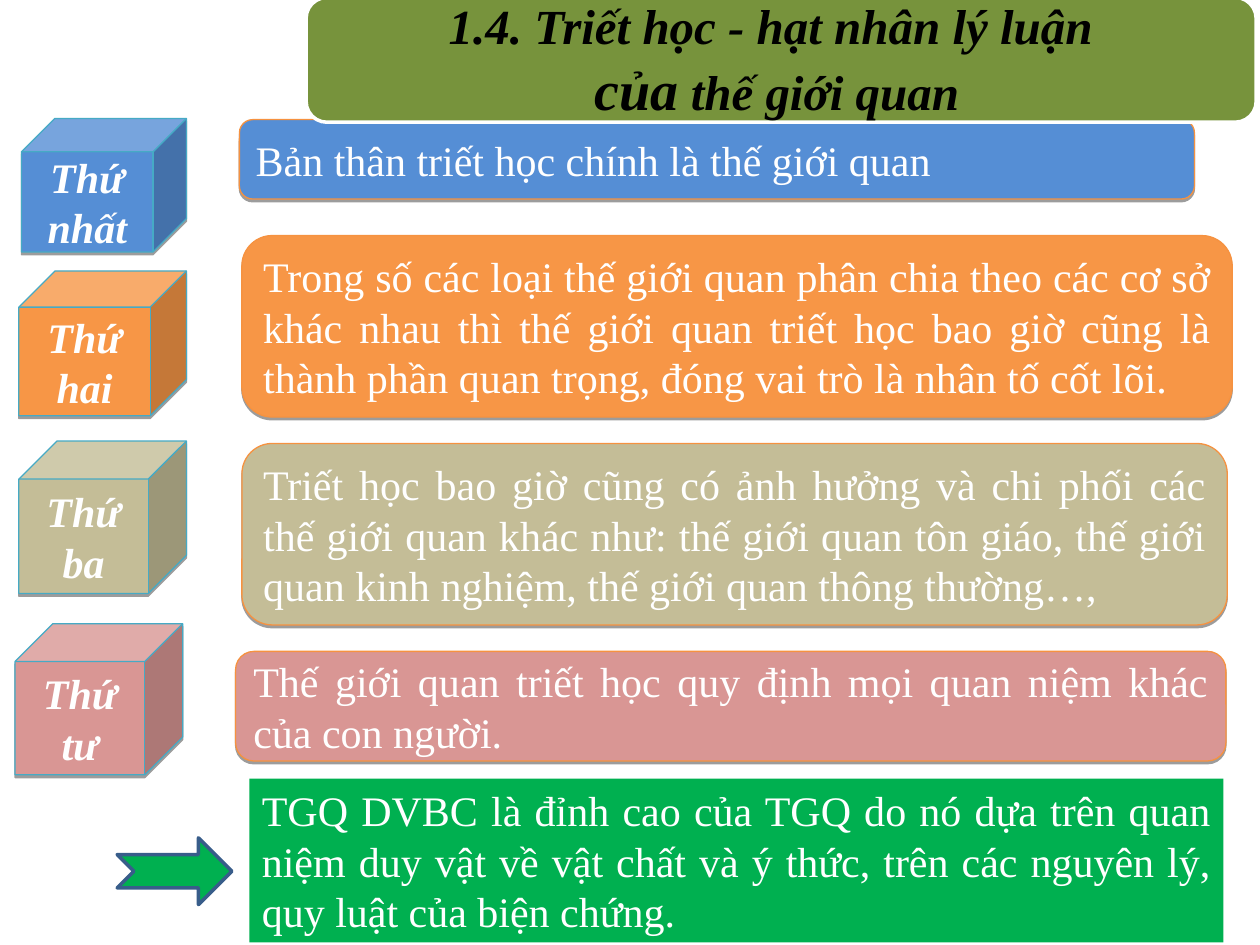
from lxml import etree
from pptx import Presentation
from pptx import util as u
from pptx.dml.color import RGBColor
from pptx.enum import shapes, text
from pptx.oxml.ns import qn

FONT = "Times New Roman"
WHITE = RGBColor(0xFF, 0xFF, 0xFF)
BLACK = RGBColor(0, 0, 0)
BLUE = RGBColor(0x55, 0x8E, 0xD5)
ORANGE = RGBColor(0xF7, 0x96, 0x46)
TAN = RGBColor(0xC4, 0xBD, 0x97)
PINK = RGBColor(0xD9, 0x96, 0x94)
GREEN = RGBColor(0x00, 0xB0, 0x50)
OLIVE = RGBColor(0x77, 0x93, 0x3C)
PANEL_LINE = RGBColor(0xF6, 0x92, 0x40)
CUBE_LINE = RGBColor(0x46, 0xAA, 0xC5)
ARROW_LINE = RGBColor(0x38, 0x5D, 0x8A)

# Label, cube box, statement, panel box, colour
REASONS = [
    ("Thứ nhất", (0.17, 0.94, 1.31, 1.06),
     "Bản thân triết học chính là thế giới quan",
     (1.9, 0.95, 7.58, 0.63), BLUE),
    ("Thứ hai", (0.15, 2.15, 1.33, 1.15),
     "Trong số các loại thế giới quan phân chia theo các cơ sở khác nhau thì "
     "thế giới quan triết học bao giờ cũng là thành phần quan trọng, đóng vai "
     "trò là nhân tố cốt lõi.",
     (1.92, 1.87, 7.86, 1.44), ORANGE),
    ("Thứ ba", (0.15, 3.5, 1.33, 1.21),
     "Triết học bao giờ cũng có ảnh hưởng và chi phối các thế giới quan khác "
     "như: thế giới quan tôn giáo, thế giới quan kinh nghiệm, thế giới quan "
     "thông thường…,",
     (1.92, 3.52, 7.82, 1.44), TAN),
    ("Thứ tư", (0.12, 4.95, 1.33, 1.2),
     "Thế giới quan triết học quy định mọi quan niệm khác của con người.",
     (1.87, 5.17, 7.86, 0.87), PINK),
]
CONCLUSION = ("TGQ DVBC là đỉnh cao của TGQ do nó dựa trên quan niệm duy vật về "
              "vật chất và ý thức, trên các nguyên lý, quy luật của biện chứng.")


def inches(box):
    return [u.Inches(length) for length in box]


def add_block(slide, preset, box, fill, line, width):
    shape = slide.shapes.add_shape(preset, *inches(box))
    shape.shadow.inherit = False
    shape.fill.solid()
    shape.fill.fore_color.rgb = fill
    shape.line.color.rgb = line
    shape.line.width = u.Pt(width)
    return shape


def add_drop_shadow(shape):
    effects = shape.element.spPr.find(qn("a:effectLst"))
    shadow = etree.SubElement(effects, qn("a:outerShdw"), blurRad="0",
                              dist=str(u.Pt(1.6)), dir="5400000", rotWithShape="0")
    color = etree.SubElement(shadow, qn("a:srgbClr"), val="000000")
    etree.SubElement(color, qn("a:alpha"), val="38000")


def format_run(run, size, color, emphasis=False):
    run.font.name = FONT
    run.font.size = u.Pt(size)
    run.font.color.rgb = color
    run.font.bold = run.font.italic = emphasis


def write(shape, words, alignment, emphasis=False, anchor=text.MSO_ANCHOR.MIDDLE):
    frame = shape.text_frame
    frame.word_wrap = True
    frame.vertical_anchor = anchor
    frame.text = words
    paragraph = frame.paragraphs[0]
    paragraph.alignment = alignment
    format_run(paragraph.runs[0], 24, WHITE, emphasis)


def add_reason(slide, label, cube_box, statement, panel_box, color):
    panel = add_block(slide, shapes.MSO_SHAPE.ROUNDED_RECTANGLE, panel_box,
                      color, PANEL_LINE, 0.75)
    write(panel, statement, text.PP_ALIGN.JUSTIFY)
    cube = add_block(slide, shapes.MSO_SHAPE.CUBE, cube_box, color, CUBE_LINE, 0.75)
    write(cube, label, text.PP_ALIGN.CENTER, emphasis=True)
    for shape in (panel, cube):
        add_drop_shadow(shape)


def add_conclusion(slide):
    box = slide.shapes.add_textbox(*inches((1.98, 6.18, 7.73, 1.3)))
    box.fill.solid()
    box.fill.fore_color.rgb = GREEN
    write(box, CONCLUSION, text.PP_ALIGN.JUSTIFY, anchor=text.MSO_ANCHOR.TOP)
    add_block(slide, shapes.MSO_SHAPE.NOTCHED_RIGHT_ARROW,
              (0.93, 6.65, 0.91, 0.53), GREEN, ARROW_LINE, 2)


def add_title(slide):
    add_block(slide, shapes.MSO_SHAPE.ROUNDED_RECTANGLE,
              (2.43, -0.02, 7.54, 0.99), OLIVE, WHITE, 2)
    title = slide.shapes.title
    title.left, title.top, title.width, title.height = inches((2.43, 0.07, 7.47, 0.79))
    frame = title.text_frame
    frame.word_wrap = True
    frame.auto_size = text.MSO_AUTO_SIZE.NONE
    frame.vertical_anchor = text.MSO_ANCHOR.MIDDLE
    frame.margin_left = frame.margin_right = u.Inches(0.24)
    frame.margin_top = frame.margin_bottom = 0
    frame.text = "1.4. Triết học - hạt nhân lý luận \ncủa"
    first, second = frame.paragraphs
    second.add_run().text = " thế giới quan"
    for run, size in zip(first.runs + second.runs, (28, 32, 28)):
        format_run(run, size, BLACK, emphasis=True)
    for paragraph in frame.paragraphs:
        paragraph.alignment = text.PP_ALIGN.CENTER
    # Bring the title in front of its band
    title.element.getparent().append(title.element)


def main():
    presentation = Presentation()
    presentation.slide_width = u.Inches(10)
    presentation.slide_height = u.Inches(7.5)
    slide = presentation.slides.add_slide(presentation.slide_layouts[5])
    for reason in REASONS:
        add_reason(slide, *reason)
    add_conclusion(slide)
    add_title(slide)
    presentation.save("out.pptx")


if __name__ == "__main__":
    main()
